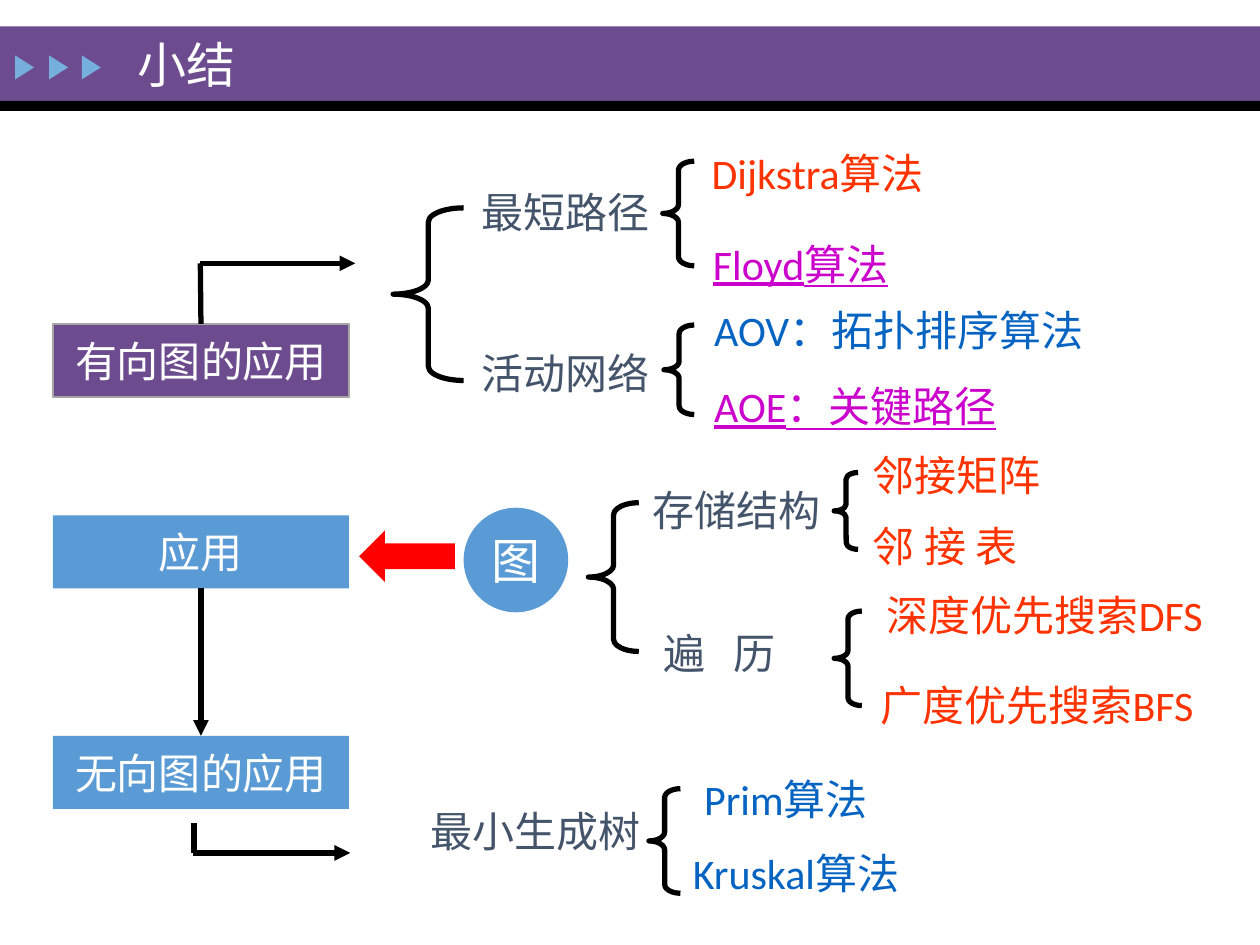
"""Build the summary slide on graph structures and their applications."""
from lxml.etree import SubElement
from pptx import Presentation
from pptx.dml.color import RGBColor
from pptx.enum.shapes import MSO_CONNECTOR, MSO_SHAPE
from pptx.enum.text import MSO_ANCHOR, PP_ALIGN
from pptx.oxml.ns import qn
from pptx.util import Inches, Pt

PURPLE, BLUE, SKY = "6C4C8F", "5B9BD5", "76AEDD"
BLACK, WHITE, SLATE = "000000", "FFFFFF", "44546A"
ORANGE, LINK, VISITED = "FF3300", "0563C1", "CC00CC"


def color(value):
    return RGBColor.from_string(value)


def add_block(kind, left, top, width, height, fill=None, text="", size=24):
    block = slide.shapes.add_shape(kind, Inches(left), Inches(top), Inches(width), Inches(height))
    block.shadow.inherit = False
    if fill:
        block.fill.solid()
        block.fill.fore_color.rgb = color(fill)
        block.line.fill.background()
    else:
        block.fill.background()
        block.line.color.rgb = color(BLACK)
        block.line.width = Pt(3)
    if text:
        frame = block.text_frame
        frame.text = text
        frame.word_wrap = False
        frame.vertical_anchor = MSO_ANCHOR.MIDDLE
        para = frame.paragraphs[0]
        para.alignment = PP_ALIGN.CENTER
        font = para.runs[0].font
        font.name, font.size = "Calibri", Pt(size)
        font.color.rgb = color(WHITE)
    return block


deck = Presentation()
deck.slide_width, deck.slide_height = Inches(10), Inches(7.5)
slide = deck.slides.add_slide(deck.slide_layouts[6])

add_block(MSO_SHAPE.RECTANGLE, 0, 0.21, 10, 0.59, PURPLE)
add_block(MSO_SHAPE.RECTANGLE, 0, 0.8, 10, 0.08, BLACK)
for left in (0.1, 0.37, 0.63):
    add_block(MSO_SHAPE.ISOSCELES_TRIANGLE, left, 0.46, 0.19, 0.15, SKY).rotation = 90

add_block(MSO_SHAPE.OVAL, 3.68, 4.03, 0.83, 0.83, BLUE, "图", 28)
add_block(MSO_SHAPE.LEFT_ARROW, 2.85, 4.21, 0.76, 0.41, "FF0000")
directed, application, undirected = [
    add_block(MSO_SHAPE.RECTANGLE, 0.42, top, 2.35, 0.58, fill, text)
    for top, fill, text in (
        (2.57, PURPLE, "有向图的应用"),
        (4.09, BLUE, "应用"),
        (5.84, BLUE, "无向图的应用"),
    )
]
directed.line.color.rgb = color("A5A5A5")
directed.line.width = Pt(1)

braces = [
    (3.12, 1.65, 0.56, 1.37, 0.2),
    (5.26, 1.28, 0.25, 0.83, 0.28),
    (5.27, 2.58, 0.24, 0.71, 0.28),
    (4.67, 3.99, 0.4, 1.18, 0.24),
    (6.62, 3.75, 0.19, 0.61, 0.28),
    (6.62, 4.85, 0.22, 0.75, 0.28),
    (5.15, 6.26, 0.25, 0.83, 0.28),
]
for left, top, width, height, curve in braces:
    brace = add_block(MSO_SHAPE.LEFT_BRACE, left, top, width, height)
    brace.adjustments[0] = curve

connectors = [
    (1.59, 2.57, 1.59, 2.09, False, (directed, 0), None),
    (1.59, 2.09, 2.82, 2.09, True, None, None),
    (1.59, 4.67, 1.59, 5.84, True, (application, 2), (undirected, 0)),
    (1.54, 6.53, 1.54, 6.77, False, None, None),
    (1.53, 6.77, 2.78, 6.77, True, None, None),
]
for x1, y1, x2, y2, arrow, start, end in connectors:
    connector = slide.shapes.add_connector(
        MSO_CONNECTOR.STRAIGHT, Inches(x1), Inches(y1), Inches(x2), Inches(y2)
    )
    if start:
        connector.begin_connect(*start)
    if end:
        connector.end_connect(*end)
    connector.line.color.rgb = color(BLACK)
    connector.line.width = Pt(3)
    if arrow:
        SubElement(connector.line._get_or_add_ln(), qn("a:tailEnd"), type="triangle")
    SubElement(connector._element.spPr, qn("a:effectLst"))

labels = [
    ("小结", 0.99, 0.22, 1.83, WHITE),
    ("最短路径", 3.72, 1.43, 1.67, SLATE),
    ("Dijkstra算法", 5.55, 1.12, 2.08, ORANGE),
    ("Floyd算法", 5.56, 1.84, 1.83, VISITED),
    ("活动网络", 3.72, 2.71, 1.67, SLATE),
    ("AOV：拓扑排序算法", 5.57, 2.37, 3.32, LINK),
    ("AOE：关键路径", 5.57, 2.97, 2.92, VISITED),
    ("存储结构", 5.08, 3.8, 1.75, SLATE),
    ("邻接矩阵", 6.83, 3.52, 1.75, ORANGE),
    ("邻 接 表", 6.83, 4.08, 1.75, ORANGE),
    ("遍   历", 5.17, 4.93, 1.33, SLATE),
    ("深度优先搜索DFS", 6.94, 4.63, 3.06, ORANGE),
    ("广度优先搜索BFS", 6.89, 5.34, 3.11, ORANGE),
    ("最小生成树", 3.32, 6.34, 2, SLATE),
    ("Prim算法", 5.49, 6.09, 1.83, LINK),
    ("Kruskal算法", 5.4, 6.68, 2.17, LINK),
]
for text, left, top, width, ink in labels:
    title = ink == WHITE
    box = slide.shapes.add_textbox(
        Inches(left), Inches(top), Inches(width), Inches(0.57 if title else 0.5)
    )
    frame = box.text_frame
    frame.text = text
    frame.word_wrap = True
    frame.vertical_anchor = MSO_ANCHOR.MIDDLE if title else MSO_ANCHOR.TOP
    font = frame.paragraphs[0].runs[0].font
    font.name, font.size = "Calibri", Pt(28 if title else 24)
    font.color.rgb = color(ink)
    if ink == VISITED:
        font.underline = True

deck.save("out.pptx")
